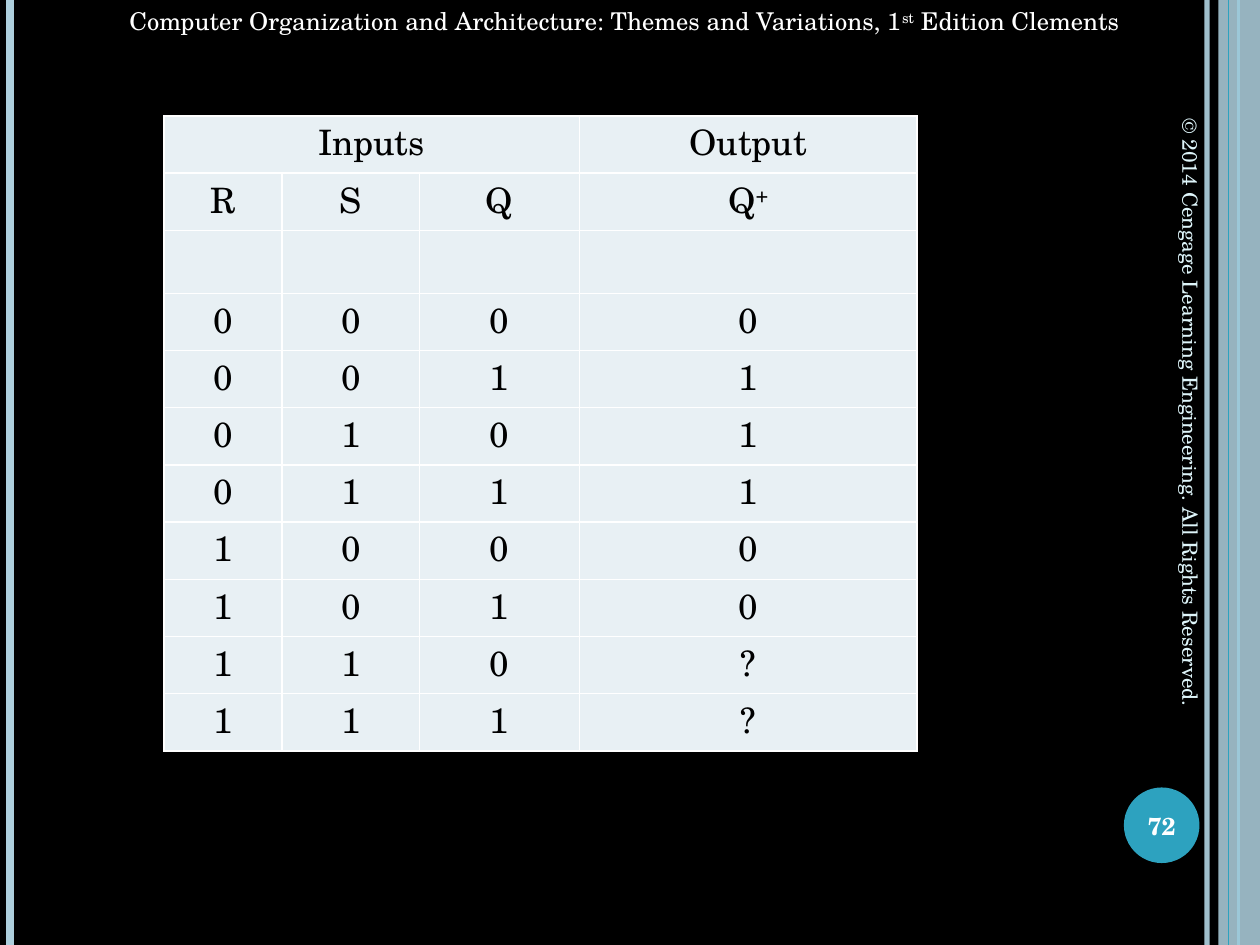
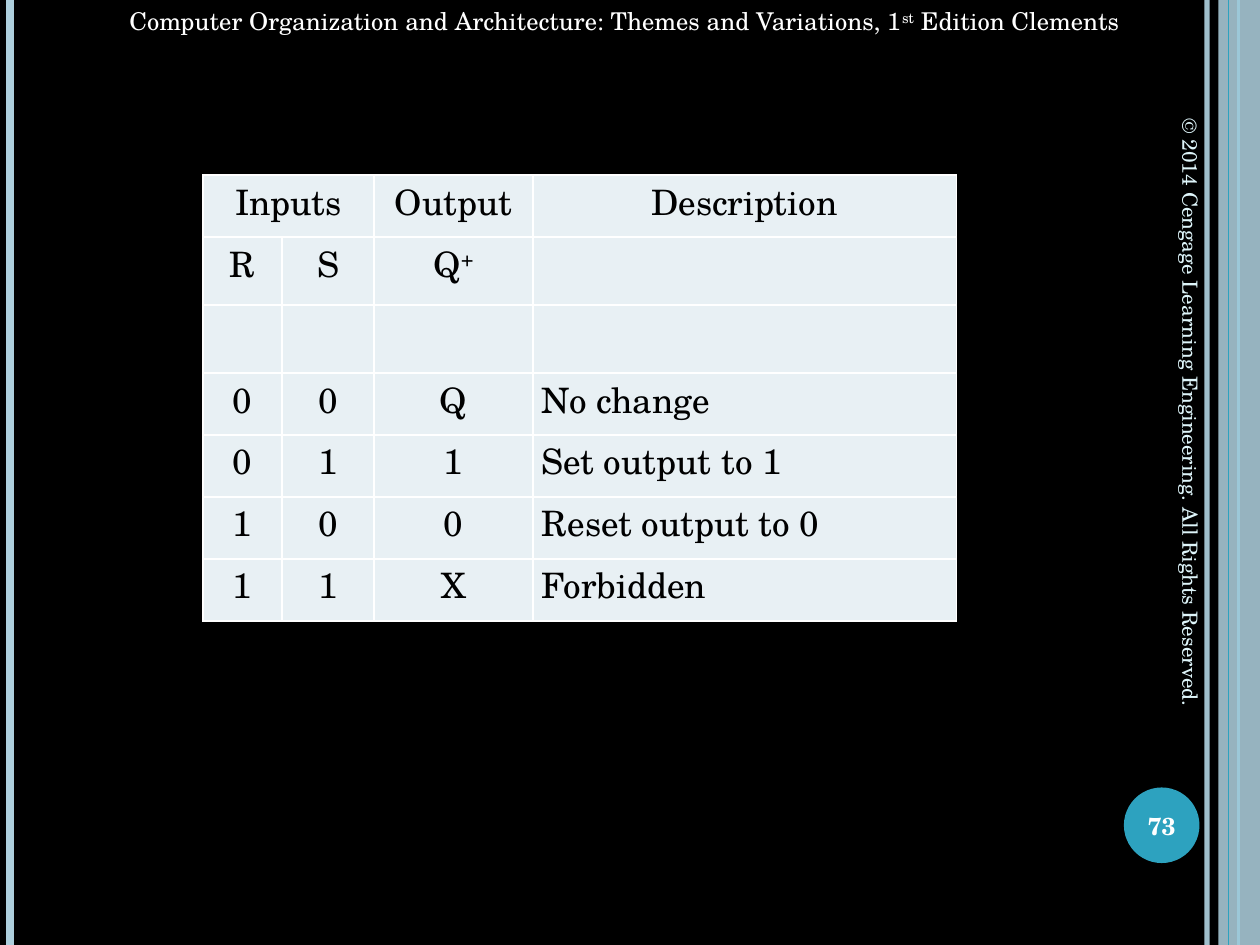
"""Build two slides with the truth tables of an RS flip-flop."""
from dataclasses import dataclass, field

from lxml.etree import SubElement
from pptx import Presentation
from pptx.dml.color import RGBColor
from pptx.enum.shapes import MSO_CONNECTOR, MSO_SHAPE
from pptx.enum.text import MSO_ANCHOR, PP_ALIGN
from pptx.oxml.ns import qn
from pptx.util import Inches, Pt

FONT = "TeX Gyre Schola"
BLACK, WHITE = "000000", "FFFFFF"
PALE, TEAL, ICE, CELL = "ADCEDC", "2DA2BF", "DEF5FA", "E8F0F4"
HEADER = ("Computer Organization and Architecture: Themes and Variations, "
          "1^st^ Edition\tClements")
COPYRIGHT = "© 2014 Cengage Learning Engineering. All Rights Reserved."


@dataclass(frozen=True)
class Stripe:
    x: float
    color: str
    width: float
    opacity: int = 100


@dataclass(frozen=True)
class TruthTable:
    number: int
    left: float
    top: float
    height: float
    cols: list[float]
    input_cols: int
    rows: list[list[str]]
    side_inset: float = 0
    tall_rows: dict[int, float] = field(default_factory=dict)
    left_aligned_col: int | None = None


STRIPES = [Stripe(9.58, PALE, 3, 93), Stripe(0.08, PALE, 4.5), Stripe(9.83, TEAL, 1.5)]
INNER_STRIPE = Stripe(9.75, TEAL, 0.75)

TABLES = [
    TruthTable(
        72, 1.3, 0.92, 5.04, [0.94, 1.09, 1.27, 2.68], 3,
        [["Inputs", "", "", "Output"], ["R", "S", "Q", "Q^+"], [""] * 4]
        + [list(bits) for bits in ("0000", "0011", "0101", "0111",
                                   "1000", "1010", "110?", "111?")],
        tall_rows={2: 0.5}),
    TruthTable(
        73, 1.61, 1.39, 3.54, [0.63, 0.73, 1.26, 3.36], 2,
        [["Inputs", "", "Output", "Description"], ["R", "S", "Q^+", ""], [""] * 4,
         ["0", "0", "Q", "No change"], ["0", "1", "1", "Set output to 1"],
         ["1", "0", "0", "Reset output to 0"], ["1", "1", "X", "Forbidden"]],
        side_inset=0.07, tall_rows={1: 0.54, 2: 0.54}, left_aligned_col=3),
]


def rgb(color: str) -> RGBColor:
    return RGBColor.from_string(color)


def set_opacity(fill_parent, percent: int) -> None:
    color = fill_parent.find(f"{qn('a:solidFill')}/{qn('a:srgbClr')}")
    SubElement(color, qn("a:alpha"), val=str(percent * 1000))


def write(tf, text: str, size: float, color: str, align=PP_ALIGN.CENTER, bold=False) -> None:
    p = tf.paragraphs[0]
    p.alignment = align
    p.font.name, p.font.size, p.font.bold = FONT, Pt(size), bold
    p.font.color.rgb = rgb(color)
    for i, part in enumerate(text.split("^")):
        if part:
            r = p.add_run()
            r.text = part
            if i % 2:
                r._r.get_or_add_rPr().set("baseline", "30000")


def add_stripe(s, stripe: Stripe) -> None:
    x = Inches(stripe.x)
    line = s.shapes.add_connector(MSO_CONNECTOR.STRAIGHT, x, 0, x, Inches(7.5))
    line.line.color.rgb = rgb(stripe.color)
    line.line.width = Pt(stripe.width)
    sp_pr = line._element.spPr
    if stripe.opacity < 100:
        set_opacity(sp_pr.find(qn("a:ln")), stripe.opacity)
    SubElement(sp_pr, qn("a:effectLst"))


def add_filled(s, kind, box: tuple[float, ...], color: str):
    sp = s.shapes.add_shape(kind, *map(Inches, box))
    sp.shadow.inherit = False
    sp.fill.solid()
    sp.fill.fore_color.rgb = rgb(color)
    sp.line.fill.background()
    return sp


def add_text(s, box: tuple[float, ...], text: str, size: float, color: str, align):
    sp = s.shapes.add_textbox(*map(Inches, box))
    sp.text_frame.word_wrap = True
    write(sp.text_frame, text, size, color, align)
    return sp


def add_frame(s, number: int) -> None:
    s.background.fill.solid()
    s.background.fill.fore_color.rgb = rgb(BLACK)
    for stripe in STRIPES:
        add_stripe(s, stripe)
    band = add_filled(s, MSO_SHAPE.RECTANGLE, (9.67, 0, 0.33, 7.5), PALE)
    set_opacity(band._element.spPr, 87)
    add_stripe(s, INNER_STRIPE)
    badge = add_filled(s, MSO_SHAPE.OVAL, (8.92, 6.25, 0.6, 0.6), TEAL)
    tf = badge.text_frame
    tf.margin_left = tf.margin_right = tf.margin_top = tf.margin_bottom = 0
    tf.vertical_anchor = MSO_ANCHOR.MIDDLE
    write(tf, str(number), 14, WHITE, bold=True)
    add_text(s, (0.33, 0, 9.25, 0.34), HEADER, 14, WHITE, PP_ALIGN.CENTER)
    notice = add_text(s, (6.93, 3.16, 5.04, 0.4), COPYRIGHT, 12, ICE, PP_ALIGN.LEFT)
    notice.rotation = 90
    notice.text_frame.vertical_anchor = MSO_ANCHOR.MIDDLE


def add_borders(cell) -> None:
    tc_pr = cell._tc.get_or_add_tcPr()
    for i, side in enumerate(("lnL", "lnR", "lnT", "lnB")):
        ln = tc_pr.makeelement(qn(f"a:{side}"), {"w": str(Pt(1))})
        SubElement(SubElement(ln, qn("a:solidFill")), qn("a:srgbClr"), val=WHITE)
        tc_pr.insert(i, ln)


def add_truth_table(s, spec_: TruthTable) -> None:
    t = spec_
    n_rows = len(t.rows)
    table = s.shapes.add_table(n_rows, len(t.cols), Inches(t.left), Inches(t.top),
                               Inches(sum(t.cols)), Inches(t.height)).table
    table.first_row = table.horz_banding = False
    for col, width in zip(table.columns, t.cols):
        col.width = Inches(width)
    row_height = (t.height - sum(t.tall_rows.values())) / (n_rows - len(t.tall_rows))
    for r, texts in enumerate(t.rows):
        table.rows[r].height = Inches(t.tall_rows.get(r, row_height))
        for c, text in enumerate(texts):
            cell = table.cell(r, c)
            cell.margin_left = cell.margin_right = Inches(t.side_inset)
            cell.margin_top = cell.margin_bottom = 0
            cell.fill.solid()
            cell.fill.fore_color.rgb = rgb(CELL)
            add_borders(cell)
            is_left = c == t.left_aligned_col and r > 0
            write(cell.text_frame, text, 20, BLACK,
                  PP_ALIGN.LEFT if is_left else PP_ALIGN.CENTER)
    table.cell(0, 0).merge(table.cell(0, t.input_cols - 1))


def main() -> None:
    prs = Presentation()
    prs.slide_width, prs.slide_height = Inches(10), Inches(7.5)
    for truth_table in TABLES:
        s = prs.slides.add_slide(prs.slide_layouts[6])
        add_frame(s, truth_table.number)
        add_truth_table(s, truth_table)
    prs.save("out.pptx")


if __name__ == "__main__":
    main()
